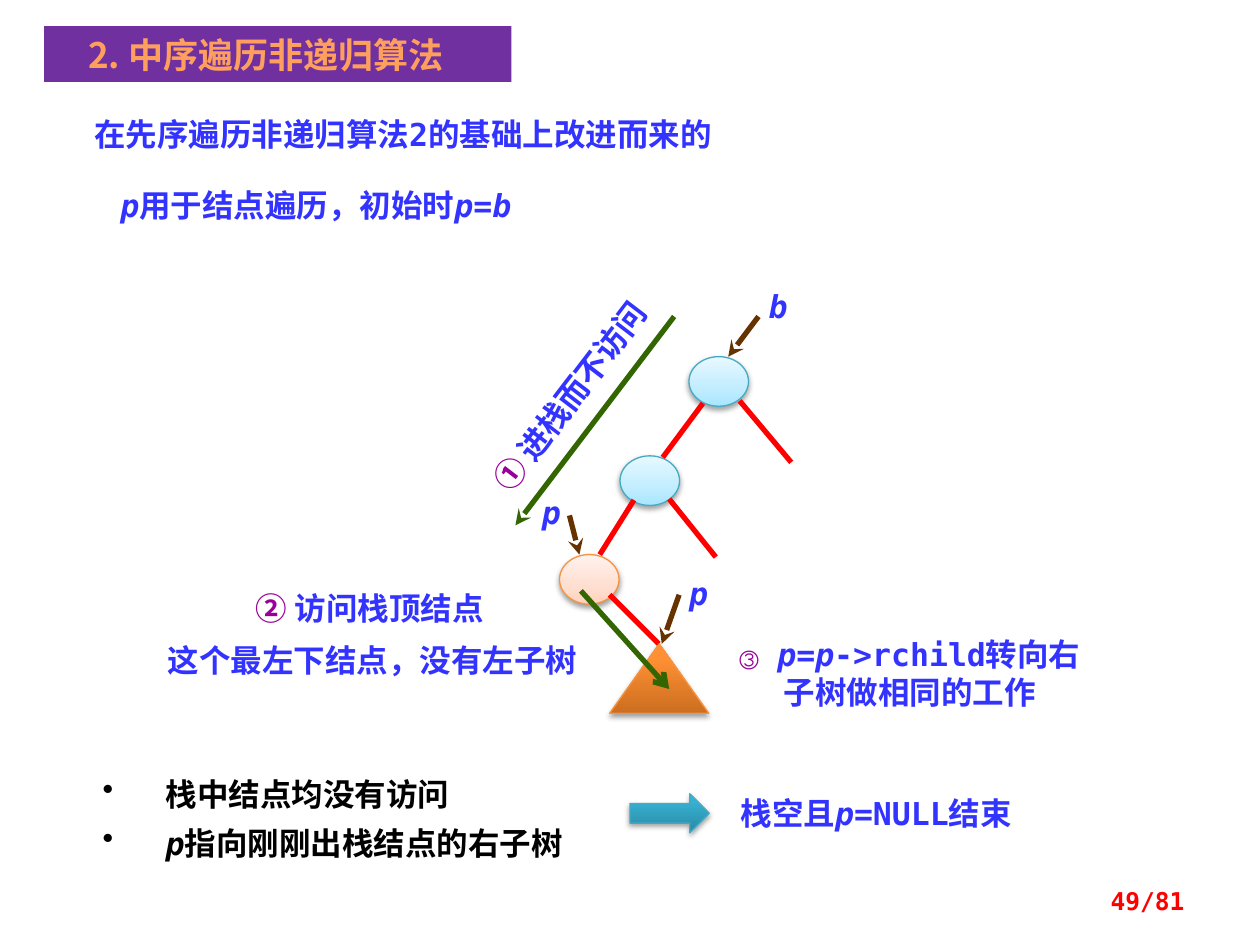
from copy import deepcopy

from pptx import Presentation
from pptx.dml.color import RGBColor
from pptx.enum.shapes import MSO_CONNECTOR, MSO_SHAPE
from pptx.enum.text import MSO_ANCHOR, PP_ALIGN
from pptx.oxml import parse_xml
from pptx.oxml.ns import nsdecls, qn
from pptx.util import Cm, Pt

COLORS = {
    "banner": "7030A0", "title": "FF9F5D", "body": "3333FF", "mark": "990099",
    "note": "000000", "page": "FF0000", "edge": "FF0000", "pointer": "663300",
    "route": "336600", "panel": "FFFFFF", "shadow": "000000",
    "teal_line": "46AAC5", "orange_line": "F69240",
}
GRADIENTS = {
    "node": [(0, "A7E6FF"), (0.35, "C1EDFF"), (1, "E7F8FF")],
    "visited": [(0, "FFD2BD"), (0.35, "FFDED0"), (1, "FFF2ED")],
    "subtree": [(0, "CC6E20"), (0.8, "FF9034"), (1, "FF9136")],
    "arrow": [(0, "2A88A2"), (0.8, "37B1D2"), (1, "34B4D6")],
}
MONO, HAN = "DejaVu Sans Mono", "Noto Sans CJK SC"
FONT = {"name": MONO, "size": Pt(18), "bold": True}
TIGHT = (0, 0, 0, 0)
NORMAL = (0.25, 0.13, 0.25, 0.13)


def rgb(key):
    """Return the named colour."""
    return RGBColor.from_string(COLORS[key])


def apply(target, formats):
    """Set each format value on the target."""
    for name, value in formats.items():
        setattr(target, name, value)


def add_run(paragraph, text, color, **formats):
    """Add one run in the given colour and format."""
    run = paragraph.add_run()
    run.text = text
    apply(run.font, {**FONT, **formats})
    run.font.color.rgb = rgb(color)
    east_asian = parse_xml(f'<a:ea {nsdecls("a")} typeface="{HAN}"/>')
    run.font._element.append(east_asian)


def write(frame, lines, color="body", mark="", insets=NORMAL, layout=None, bullet=False,
          anchor=MSO_ANCHOR.TOP, **formats):
    """Fill a frame with lines in which underscores enclose italic variables."""
    sides = ("margin_left", "margin_top", "margin_right", "margin_bottom")
    apply(frame, dict(zip(sides, map(Cm, insets))))
    apply(frame, {"word_wrap": True, "vertical_anchor": anchor})
    for index, line in enumerate(lines):
        paragraph = frame.add_paragraph() if index else frame.paragraphs[0]
        apply(paragraph, {"alignment": PP_ALIGN.LEFT, **(layout or {})})
        if bullet:
            properties = paragraph._p.get_or_add_pPr()
            properties.set("marL", str(Cm(1.27)))
            properties.set("indent", str(-Cm(1.27)))
            properties.append(parse_xml(f'<a:buChar {nsdecls("a")} char="•"/>'))
        if mark:
            add_run(paragraph, mark + " ", "mark", **formats)
        for part, text in enumerate(line.split("_")):
            if text:
                add_run(paragraph, text, color, italic=part % 2 == 1, **formats)


def add_text(slide, box, *lines, rotation=0, **options):
    """Add a text box and write its lines."""
    label = slide.shapes.add_textbox(*map(Cm, box))
    label.rotation = rotation
    write(label.text_frame, lines, **options)


def add_panel(slide, box, color):
    """Add a plain filled rectangle."""
    panel = slide.shapes.add_shape(MSO_SHAPE.RECTANGLE, *map(Cm, box))
    panel.shadow.inherit = False
    panel.fill.solid()
    panel.fill.fore_color.rgb = rgb(color)
    panel.line.fill.background()
    return panel


def add_glossy(slide, preset, box, gradient, outline):
    """Add a shape with a rising gradient and a soft shadow."""
    glossy = slide.shapes.add_shape(preset, *map(Cm, box))
    glossy.fill.gradient()
    glossy.fill.gradient_angle = 90
    properties = glossy._element.spPr
    stops = properties.find(qn("a:gradFill")).find(qn("a:gsLst"))
    stops.insert(1, deepcopy(stops[0]))
    for stop, (position, color) in zip(glossy.fill.gradient_stops, GRADIENTS[gradient]):
        stop.position = position
        stop.color.rgb = RGBColor.from_string(color)
    glossy.line.color.rgb = rgb(outline)
    glossy.line.width = Pt(0.75)
    properties.append(parse_xml(
        f'<a:effectLst {nsdecls("a")}><a:outerShdw blurRad="{Pt(3.1)}" dist="{Pt(1.7)}" '
        f'dir="5400000" rotWithShape="0"><a:srgbClr val="{COLORS["shadow"]}">'
        '<a:alpha val="36000"/></a:srgbClr></a:outerShdw></a:effectLst>'))


def add_line(slide, origin, start, end, color, head=None):
    """Draw a line between two points measured from the origin."""
    ends = [Cm(base + offset) for point in (start, end) for base, offset in zip(origin, point)]
    line = slide.shapes.add_connector(MSO_CONNECTOR.STRAIGHT, *ends)
    line.line.color.rgb = rgb(color)
    line.line.width = Pt(3)
    if head:
        line.line._get_or_add_ln().append(
            parse_xml(f'<a:tailEnd {nsdecls("a")} type="{head}"/>'))
    line._element.spPr.append(parse_xml(f'<a:effectLst {nsdecls("a")}/>'))


def banner(slide, box):
    """Draw the title banner."""
    write(add_panel(slide, box, "banner").text_frame, ["2. 中序遍历非递归算法"],
          color="title", insets=(0.25, 0.13, 0.73, 0.13), anchor=MSO_ANCHOR.MIDDLE,
          layout={"alignment": PP_ALIGN.CENTER}, name=HAN, size=Pt(20))


def introduction(slide, box):
    """Write the two opening statements."""
    left, top, width, _ = box
    add_text(slide, (left, top, width, 1.02), "在先序遍历非递归算法2的基础上改进而来的")
    add_text(slide, (left + 0.53, top + 1.58, 8.74, 0.86), "_p_用于结点遍历，初始时_p_=_b_",
             layout={"line_spacing": 0.8})


def tree(slide, box):
    """Draw the tree with its pointers and traversal routes."""
    origin = left, top = box[:2]
    nodes = [(3.89, 1.69, "node", "teal_line"), (2.5, 3.69, "node", "teal_line"),
             (1.28, 5.68, "visited", "orange_line")]
    for x, y, gradient, outline in nodes:
        add_glossy(slide, MSO_SHAPE.OVAL, (left + x, top + y, 1.2, 1), gradient, outline)
    edges = [((4.17, 2.63), (3.36, 3.72)), ((2.78, 4.58), (2.09, 5.68)),
             ((4.91, 2.58), (5.95, 3.82)), ((3.49, 4.56), (4.43, 5.73)),
             ((2.29, 6.49), (3.28, 7.48))]
    for parent, child in edges:
        add_line(slide, origin, parent, child, "edge")
    add_glossy(slide, MSO_SHAPE.ISOSCELES_TRIANGLE, (left + 2.29, top + 7.48, 2, 1.4),
               "subtree", "orange_line")
    pointers = [("b", (5.29, 0.29), (5.29, 0.88), (4.68, 1.69)),
                ("p", (0.72, 4.43), (1.48, 4.89), (1.68, 5.68)),
                ("p", (3.69, 6.08), (3.69, 6.49), (3.34, 7.48))]
    for variable, (x, y), start, end in pointers:
        add_line(slide, origin, start, end, "pointer", "stealth")
        add_text(slide, (left + x, top + y, 0.79, 0.76), f"_{variable}_", insets=TIGHT,
                 layout={"alignment": PP_ALIGN.CENTER})
    add_line(slide, origin, (3.59, 0.88), (0.39, 5.09), "route", "stealth")
    add_line(slide, origin, (1.71, 6.41), (3.49, 8.39), "route", "arrow")


def steps(slide, box):
    """Write the numbered steps around the tree."""
    left, top = box[:2]
    centred = {"alignment": PP_ALIGN.CENTER}
    spaced = {"line_spacing": Pt(20)}
    add_text(slide, (left + 5.28, top, 5.66, 1.02), "进栈而不访问", mark="①",
             rotation=307.4, layout=centred)
    add_text(slide, (left + 1.78, top + 4.47, 4.95, 0.71), "访问栈顶结点", mark="②",
             insets=TIGHT, layout=spaced)
    add_text(slide, (left, top + 5.51, 8.53, 0.71), "这个最左下结点，没有左子树",
             insets=TIGHT, layout=spaced)
    add_text(slide, (left + 11.5, top + 5.33, 6.93, 1.55),
             "_p_=_p_->rchild转向右子树做相同的工作", mark="③", insets=TIGHT, layout=centred)


def conclusion(slide, box):
    """Show the invariants leading to the end condition."""
    left, top, width, height = box
    invariants = add_panel(slide, (left, top, 10.72, height), "panel")
    write(invariants.text_frame, ["栈中结点均没有访问", "_p_指向刚刚出栈结点的右子树"],
          color="note", insets=(0.5, 0.3, 0.25, 0.3), bullet=True,
          layout={"line_spacing": Pt(28)})
    add_text(slide, (left + 13.11, top + 0.79, width - 13.11, 1.02), "栈空且_p_=NULL结束")
    add_glossy(slide, MSO_SHAPE.RIGHT_ARROW, (left + 11.13, top + 0.91, 1.6, 0.79),
               "arrow", "teal_line")


def page_number(slide, box):
    """Write the page number."""
    add_text(slide, box, "49/81", color="page", anchor=MSO_ANCHOR.MIDDLE,
             layout={"alignment": PP_ALIGN.RIGHT}, size=Pt(14))


def main():
    """Build the slide and save it."""
    deck = Presentation()
    apply(deck, {"slide_width": Cm(25.4), "slide_height": Cm(19.05)})
    slide = deck.slides.add_slide(deck.slide_layouts[6])
    banner(slide, (0.89, 0.53, 9.42, 1.12))
    introduction(slide, (1.65, 2.18, 17.6, 2.44))
    tree(slide, (10, 5.5, 6.1, 8.9))
    steps(slide, (3.38, 7.47, 18.43, 6.88))
    conclusion(slide, (1.57, 15.09, 19.87, 2.59))
    page_number(slide, (18.21, 17.65, 5.92, 1.02))
    deck.save("out.pptx")


if __name__ == "__main__":
    main()
